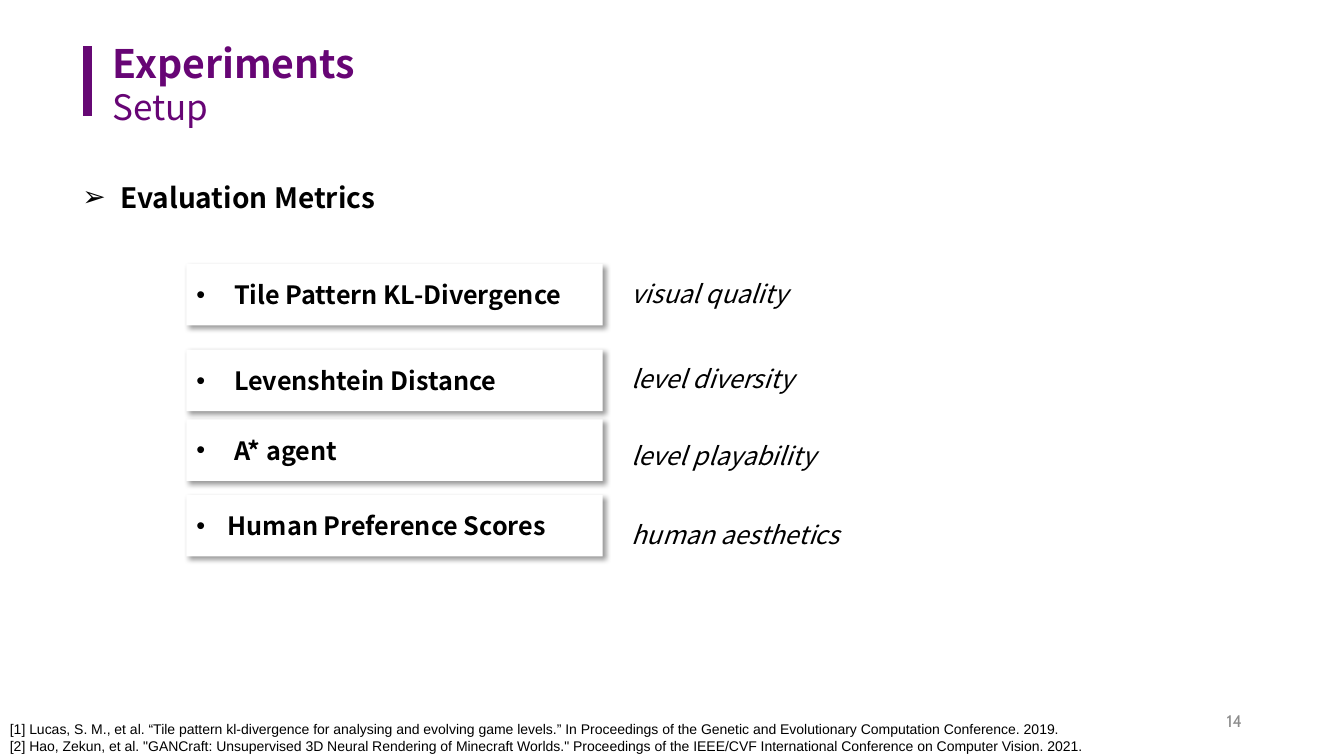
from lxml import etree
from pptx import Presentation
from pptx.dml.color import RGBColor
from pptx.enum import shapes, text
from pptx.oxml import ns
from pptx.util import Cm, Pt

PURPLE = RGBColor(0x67, 0x05, 0x75)
BAR_PURPLE = RGBColor(0x66, 0x08, 0x74)
BLACK = RGBColor(0, 0, 0)
WHITE = RGBColor(0xFF, 0xFF, 0xFF)
GREY = RGBColor(0x8C, 0x8C, 0x8C)
SANS = "Noto Sans CJK SC"

# metric, what it measures, top of tile, top of note, bullet indent (cm)
METRICS = [
    ("Tile Pattern KL-Divergence", "visual quality", 6.65, 6.88, 0.95),
    ("Levenshtein Distance", "level diversity", 8.81, 9.02, 0.95),
    ("A* agent", "level playability", 10.57, 10.97, 0.95),
    ("Human Preference Scores", "human aesthetics", 12.47, 12.95, 0.79),
]
REFERENCES = [
    "[1] Lucas, S. M., et al. “Tile pattern kl-divergence for analysing and evolving game levels.” "
    "In Proceedings of the Genetic and Evolutionary Computation Conference. 2019.",
    "[2] Hao, Zekun, et al. \"GANCraft: Unsupervised 3D Neural Rendering of Minecraft Worlds.\" "
    "Proceedings of the IEEE/CVF International Conference on Computer Vision. 2021.",
]


def sub(parent, tag, **attrs):
    return etree.SubElement(parent, ns.qn(tag), attrs)


def style(p, size, color, name=SANS, bold=False, italic=False):
    f = p.font
    f.size, f.name, f.bold, f.italic = Pt(size), name, bold, italic
    f.color.rgb = color


def add_bullet(p, char, indent):
    pPr = p._p.get_or_add_pPr()
    pPr.set("marL", str(Cm(indent)))
    pPr.set("indent", str(-Cm(indent)))
    sub(pPr, "a:buFont", typeface="Arial")
    sub(pPr, "a:buChar", char=char)


def add_text(s, box, lines, wrap=True):
    tf = s.shapes.add_textbox(*map(Cm, box)).text_frame
    tf.word_wrap = wrap
    tf.text = "\n".join(lines)
    return tf


def add_heading(s, left, top):
    bar = s.shapes.add_connector(shapes.MSO_CONNECTOR.STRAIGHT, Cm(left), Cm(top),
                                 Cm(left), Cm(top + 1.75))
    bar.line.color.rgb, bar.line.width = BAR_PURPLE, Pt(6)
    sub(bar._element.spPr, "a:effectLst")

    title = s.shapes.title
    title.left, title.top = Cm(left + 0.38), Cm(top - 0.18)
    title.width, title.height = Cm(7.62), Cm(1.32)
    tf = title.text_frame
    tf.text = "Experiments"
    tf.auto_size = text.MSO_AUTO_SIZE.NONE
    tf.vertical_anchor = text.MSO_ANCHOR.TOP
    p = tf.paragraphs[0]
    p.alignment, p.line_spacing, p.space_before = text.PP_ALIGN.LEFT, 0.9, Pt(0)
    style(p, 28, PURPLE, bold=True)

    tf = add_text(s, (left + 0.38, top + 0.86, 2.97, 1.32), ["Setup"], wrap=False)
    style(tf.paragraphs[0], 25, PURPLE)


def add_tile(s, box, metric, indent):
    sp = s.shapes.add_shape(shapes.MSO_SHAPE.RECTANGLE, *map(Cm, box))
    sp.fill.solid()
    sp.fill.fore_color.rgb = WHITE
    sp.line.fill.background()
    sp.shadow.inherit = False
    effects = sp._element.spPr.find(ns.qn("a:effectLst"))
    shadow = sub(effects, "a:outerShdw", blurRad=str(Pt(4)), dist=str(Pt(3)),
                 dir="2700000", algn="tl", rotWithShape="0")
    sub(sub(shadow, "a:srgbClr", val=str(BLACK)), "a:alpha", val="40000")

    tf = sp.text_frame
    tf.word_wrap = True
    tf.vertical_anchor = text.MSO_ANCHOR.MIDDLE
    tf.text = metric
    p = tf.paragraphs[0]
    p.level, p.alignment = 1, text.PP_ALIGN.LEFT
    add_bullet(p, "•", indent)
    style(p, 18, BLACK, bold=True)


def add_metrics(s, left, top):
    p = add_text(s, (left, top, 8.76, 1.35), ["Evaluation Metrics"]).paragraphs[0]
    add_bullet(p, "➢", 0.95)
    style(p, 20, BLACK, bold=True)
    for metric, note, tile_top, note_top, indent in METRICS:
        add_tile(s, (left + 2.87, tile_top, 10.49, 1.55), metric, indent)
        tf = add_text(s, (left + 13.84, note_top, 6.1, 1.02), [note])
        style(tf.paragraphs[0], 18, BLACK, italic=True)


def add_footer(s, top):
    for p in add_text(s, (0, top, 28.17, 1.12), REFERENCES).paragraphs:
        style(p, 10, BLACK, "Arial")
    tf = add_text(s, (23.93, top - 0.38, 7.62, 1.02), ["14"])
    tf.vertical_anchor = text.MSO_ANCHOR.MIDDLE
    p = tf.paragraphs[0]
    p.alignment = text.PP_ALIGN.RIGHT
    style(p, 12, GREY, "Cabin")


def main():
    prs = Presentation()
    prs.slide_width, prs.slide_height = Cm(33.87), Cm(19.05)
    s = prs.slides.add_slide(prs.slide_layouts[5])
    add_heading(s, 2.21, 1.17)
    add_metrics(s, 1.83, 4.42)
    add_footer(s, 18.03)
    prs.save("out.pptx")


if __name__ == "__main__":
    main()
